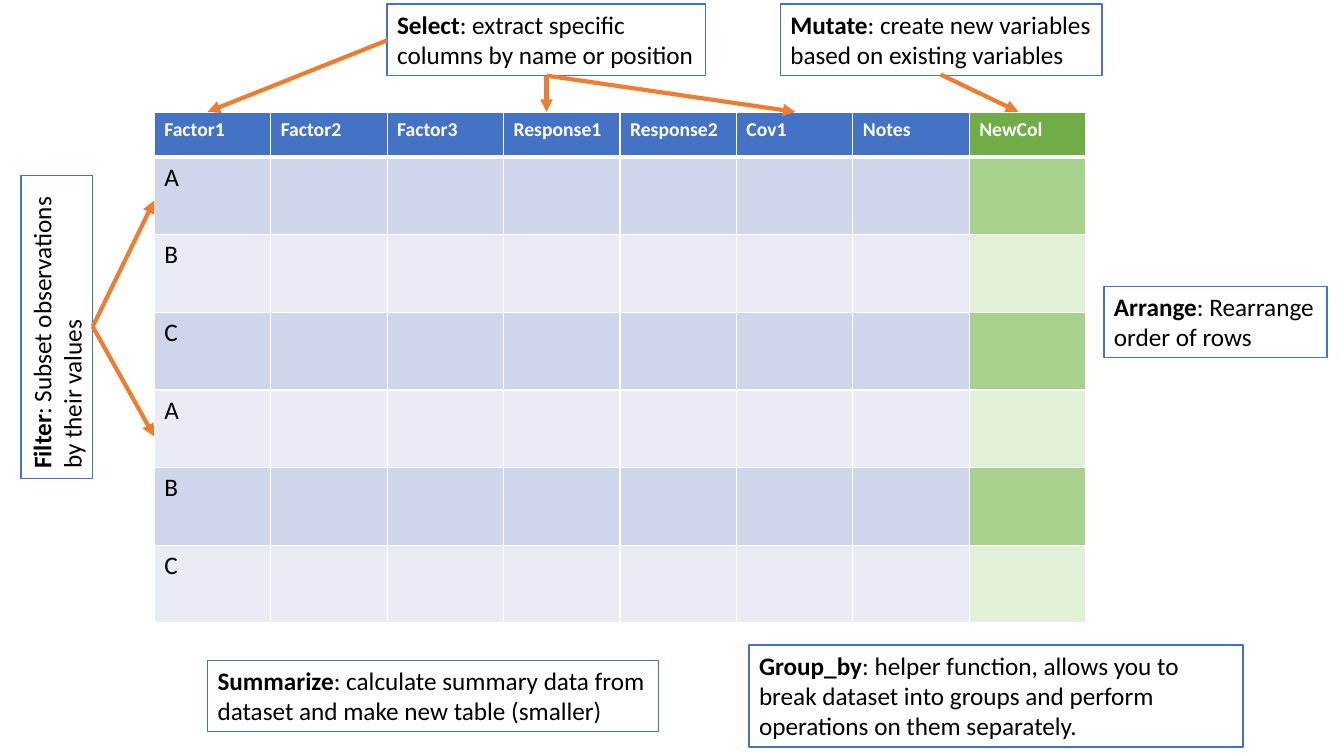
from lxml import etree
from pptx import Presentation
from pptx import util as u
from pptx.dml.color import RGBColor
from pptx.enum import shapes, text
from pptx.oxml import ns

PX = 9144
FONT = "Calibri"
COLORS = {
    "ink": "000000", "white": "FFFFFF", "outline": "4472C4", "arrow": "ED7D31",
    "header": "4472C4", "odd": "CFD5EA", "even": "E9EBF5",
    "new_header": "70AD47", "new_odd": "A9D18E", "new_even": "E2F0D9",
}
HEADINGS = ["Factor1", "Factor2", "Factor3", "Response1", "Response2", "Cov1", "Notes", "NewCol"]
GROUPS = ["A", "B", "C", "A", "B", "C"]
HEADER_HEIGHT = 44
TABLE_BOX = (153, 112, 924, 506)
NOTES = [
    ((384, 4, 316, 71), "Select", ": extract specific columns by name or position", 0),
    ((-94, 289, 301, 71), "Filter", ": Subset observations by their values", 270),
    ((206, 655, 447, 71), "Summarize", ": calculate summary data from dataset and make new table (smaller)", 0),
    ((1095, 284, 221, 71), "Arrange", ": Rearrange order of rows", 0),
    ((743, 640, 490, 101), "Group_by", ": helper function, allows you to break dataset into groups "
     "and perform operations on them separately.", 0),
    ((774, 4, 319, 71), "Mutate", ": create new variables based on existing variables", 0),
]
ARROWS = [
    ((384, 40), [(206, 111)]),
    ((542, 75), [(542, 111), (789, 111)]),
    ((933, 74), [(1010, 111)]),
    ((92, 324), [(153, 199), (153, 433)]),
]


def px(*lengths):
    return [u.Emu(length * PX) for length in lengths]


def color(name):
    return RGBColor.from_string(COLORS[name])


def add_span(para, words, size=18, bold=False, ink="ink"):
    span = para.add_run()
    span.text = words
    span.font.name = FONT
    span.font.size = u.Pt(size)
    span.font.bold = bold
    span.font.color.rgb = color(ink)


def add_cell_borders(cell, widths):
    properties = cell._tc.get_or_add_tcPr()
    for position, (side, width) in enumerate(widths.items()):
        border = etree.Element(ns.qn("a:ln" + side), w=str(u.Pt(width)))
        fill = etree.SubElement(border, ns.qn("a:solidFill"))
        etree.SubElement(fill, ns.qn("a:srgbClr"), val=COLORS["white"])
        properties.insert(position, border)


def add_data_table(page, box):
    left, top, width, height = box
    rows, columns = len(GROUPS) + 1, len(HEADINGS)
    table = page.shapes.add_table(rows, columns, *px(*box)).table
    for column in table.columns:
        column.width = u.Emu(width * PX // columns)
    body_height = (height - HEADER_HEIGHT) // len(GROUPS)
    for r, row in enumerate(table.rows):
        row.height = px(body_height if r else HEADER_HEIGHT)[0]
        band = "header" if r == 0 else "odd" if r % 2 else "even"
        for c, cell in enumerate(row.cells):
            cell.fill.solid()
            cell.fill.fore_color.rgb = color("new_" + band if c == columns - 1 else band)
            add_cell_borders(cell, {"L": 1, "R": 1, "T": 3 if r == 1 else 1, "B": 1 if r else 3})
            para = cell.text_frame.paragraphs[0]
            if r == 0:
                add_span(para, HEADINGS[c], size=14, bold=True, ink="white")
            elif c == 0:
                add_span(para, GROUPS[r - 1])


def add_note(page, box, verb, meaning, rotation):
    note = page.shapes.add_shape(shapes.MSO_SHAPE.RECTANGLE, *px(*box))
    note.rotation = rotation
    note.shadow.inherit = False
    note.fill.solid()
    note.fill.fore_color.rgb = color("white")
    note.line.color.rgb = color("outline")
    note.line.width = u.Pt(1)
    frame = note.text_frame
    frame.word_wrap = True
    frame.auto_size = text.MSO_AUTO_SIZE.SHAPE_TO_FIT_TEXT
    frame.vertical_anchor = text.MSO_ANCHOR.TOP
    para = frame.paragraphs[0]
    para.alignment = text.PP_ALIGN.LEFT
    add_span(para, verb, bold=True)
    add_span(para, meaning)


def add_arrow(page, start, end):
    arrow = page.shapes.add_connector(shapes.MSO_CONNECTOR.STRAIGHT, *px(*start, *end))
    arrow.line.color.rgb = color("arrow")
    arrow.line.width = u.Pt(3)
    etree.SubElement(arrow.line._get_or_add_ln(), ns.qn("a:tailEnd"), type="triangle")
    etree.SubElement(arrow._element.spPr, ns.qn("a:effectLst"))


def main():
    deck = Presentation()
    deck.slide_width, deck.slide_height = px(1333, 750)
    page = deck.slides.add_slide(deck.slide_layouts[6])
    add_data_table(page, TABLE_BOX)
    for note in NOTES:
        add_note(page, *note)
    for start, ends in ARROWS:
        for end in ends:
            add_arrow(page, start, end)
    deck.save("out.pptx")


if __name__ == "__main__":
    main()
